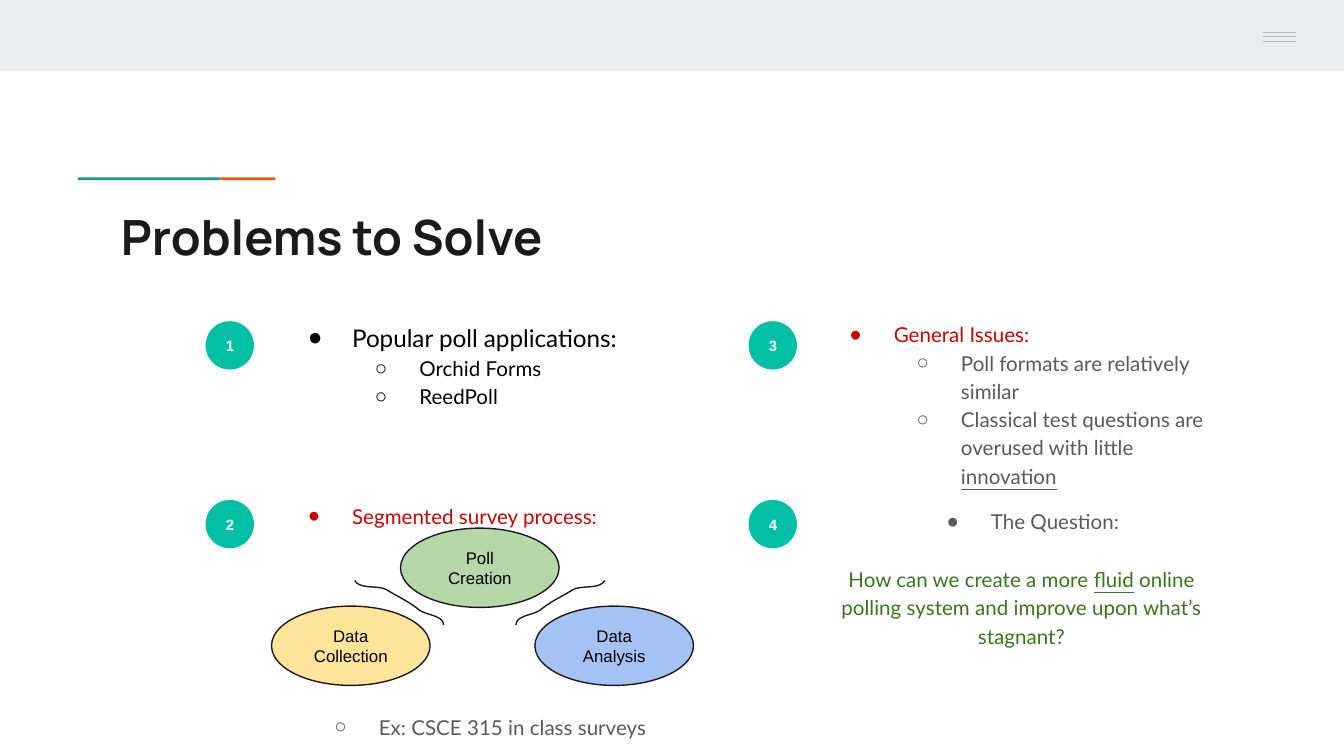
from pptx import Presentation
from pptx.dml.color import RGBColor
from pptx.enum.shapes import MSO_CONNECTOR, MSO_SHAPE
from pptx.enum.text import MSO_ANCHOR, MSO_AUTO_SIZE, PP_ALIGN
from pptx.oxml.ns import qn
from pptx.util import Inches, Pt
from lxml.etree import SubElement

BLACK = RGBColor(0x00, 0x00, 0x00)
WHITE = RGBColor(0xFF, 0xFF, 0xFF)
INK = RGBColor(0x1A, 0x1A, 0x1A)
GRAY = RGBColor(0x59, 0x59, 0x59)
RULE_GRAY = RGBColor(0xB7, 0xB7, 0xB7)
BAND = RGBColor(0xE9, 0xED, 0xEE)
TEAL = RGBColor(0x1A, 0x99, 0x88)
ORANGE = RGBColor(0xEB, 0x56, 0x00)
BADGE = RGBColor(0x00, 0xBF, 0xA5)
RED = RGBColor(0xCC, 0x00, 0x00)
GREEN = RGBColor(0x38, 0x76, 0x1D)
SAGE = RGBColor(0xB6, 0xD7, 0xA8)
YELLOW = RGBColor(0xFF, 0xE5, 0x99)
BLUE = RGBColor(0xA4, 0xC2, 0xF4)

TITLE = "Problems to Solve"
LEFT, CENTER = PP_ALIGN.LEFT, PP_ALIGN.CENTER

SECTIONS = [
    (2.02, 2.27, [
        (["Popular poll applications:"], "●", 13, BLACK, LEFT),
        (["Orchid Forms"], "○", 11, BLACK, LEFT),
        (["ReedPoll"], "○", 11, BLACK, LEFT),
    ]),
    (2.02, 3.62, [(["Segmented survey process:"], "●", 11, RED, LEFT)]),
    (6.05, 2.27, [
        (["General Issues:"], "●", 11, RED, LEFT),
        (["Poll formats are relatively similar"], "○", 11, GRAY, LEFT),
        (["Classical test questions are overused with little ", "innovation"],
         "○", 11, GRAY, LEFT),
    ]),
    (6.05, 3.66, [
        (["The Question:"], "●", 11, GRAY, CENTER),
        (["How can we create a more ", "fluid",
          " online polling system and improve upon what’s stagnant?"],
         None, 11, GREEN, CENTER),
    ]),
]
EXAMPLE = [(["Ex: CSCE 315 in class surveys"], "○", 11, GRAY, LEFT)]
STEPS = [
    ("Poll Creation", 2.98, 3.93, SAGE),
    ("Data Collection", 2.02, 4.51, YELLOW),
    ("Data Analysis", 3.98, 4.51, BLUE),
]
BADGE_COLUMNS, BADGE_ROWS = (1.53, 5.57), (2.39, 3.72)
CURVE = [
    (2.64, 4.32), (2.68, 4.39), (2.81, 4.35), (2.88, 4.39), (2.96, 4.44),
    (3.05, 4.48), (3.12, 4.54), (3.18, 4.58), (3.3, 4.58), (3.3, 4.65),
]
MIRROR_SUM = 7.14
LEVELS = {"●": (0, 0.5), "○": (1, 1)}


def add_filled(kind, left, top, width, height, color):
    shape = page.shapes.add_shape(
        kind, Inches(left), Inches(top), Inches(width), Inches(height))
    shape.shadow.inherit = False
    shape.fill.solid()
    shape.fill.fore_color.rgb = color
    shape.line.fill.background()
    return shape


def outline(shape):
    shape.line.color.rgb = INK
    shape.line.width = Pt(0.75)


def set_frame(frame, anchor=MSO_ANCHOR.TOP):
    frame.word_wrap = True
    frame.auto_size = MSO_AUTO_SIZE.NONE
    frame.vertical_anchor = anchor
    frame.margin_left = frame.margin_right = Inches(0.1)
    frame.margin_top = frame.margin_bottom = Inches(0.1)


def set_font(para, name, size, color, bold=False):
    para.font.name = name
    para.font.size = Pt(size)
    para.font.bold = bold
    para.font.color.rgb = color


def set_bullet(para, bullet, color):
    level, margin = LEVELS.get(bullet, (0, 0))
    para.level = level
    properties = para._p.get_or_add_pPr()
    properties.set("marL", str(Inches(margin)))
    properties.set("indent", str(Inches(-0.33 if bullet else 0)))
    if bullet:
        bullet_color = SubElement(properties, qn("a:buClr"))
        SubElement(bullet_color, qn("a:srgbClr"), val=str(color))
        SubElement(properties, qn("a:buFont"), typeface="Arial")
        SubElement(properties, qn("a:buChar"), char=bullet)
    else:
        SubElement(properties, qn("a:buNone"))


def write_list(frame, lines):
    set_frame(frame)
    for number, (spans, bullet, size, color, alignment) in enumerate(lines):
        para = frame.add_paragraph() if number else frame.paragraphs[0]
        set_bullet(para, bullet, color)
        para.alignment = alignment
        para.line_spacing = 1.15
        para.space_before = para.space_after = Pt(0 if bullet else 16)
        set_font(para, "Lato", size, color)
        for position, text in enumerate(spans):
            span = para.add_run()
            span.text = text
            if position % 2:
                span.font.underline = True


def write_label(shape, text, size, color, bold=False):
    set_frame(shape.text_frame, MSO_ANCHOR.MIDDLE)
    para = shape.text_frame.paragraphs[0]
    para.text = text
    para.alignment = CENTER
    set_font(para, "Arial", size, color, bold)


def place(shape, left, top, width, height):
    shape.left, shape.top = Inches(left), Inches(top)
    shape.width, shape.height = Inches(width), Inches(height)


def sample_curve(points, steps=10):
    for start in range(0, len(points) - 1, 3):
        a, b, c, d = points[start:start + 4]
        for step in range(1, steps + 1):
            t = step / steps
            u = 1 - t
            yield tuple(
                Inches(u**3 * p + 3 * u * u * t * q + 3 * u * t * t * r + t**3 * s)
                for p, q, r, s in zip(a, b, c, d))


def add_curve(points):
    first_x, first_y = points[0]
    builder = page.shapes.build_freeform(Inches(first_x), Inches(first_y))
    builder.add_line_segments(list(sample_curve(points)), close=False)
    curve = builder.convert_to_shape()
    curve.shadow.inherit = False
    curve.fill.background()
    outline(curve)


deck = Presentation()
deck.slide_width = Inches(10)
deck.slide_height = deck.slide_width * 9 // 16
page = deck.slides.add_slide(deck.slide_layouts.get_by_name("Comparison"))

add_filled(MSO_SHAPE.RECTANGLE, 0, 0, 10, 0.53, BAND)
add_filled(MSO_SHAPE.RECTANGLE, 0.58, 1.32, 1.06, 0.02, TEAL)
add_filled(MSO_SHAPE.RECTANGLE, 1.64, 1.32, 0.41, 0.02, ORANGE)
for top in (0.24, 0.27, 0.31):
    rule = page.shapes.add_connector(
        MSO_CONNECTOR.STRAIGHT, Inches(9.4), Inches(top), Inches(9.64), Inches(top))
    rule.line.color.rgb = RULE_GRAY
    rule.line.width = Pt(0.75)
    SubElement(rule._element.spPr, qn("a:effectLst"))

title, *bodies = page.placeholders
place(title, 0.8, 1.44, 8.41, 0.59)
set_frame(title.text_frame)
heading = title.text_frame.paragraphs[0]
heading.text = TITLE
heading.alignment = LEFT
set_font(heading, "Manrope", 26, INK, True)

for body, (left, top, lines) in zip(bodies, SECTIONS):
    place(body, left, top, 3.1, 1.15)
    write_list(body.text_frame, lines)

badge_places = [(left, top) for left in BADGE_COLUMNS for top in BADGE_ROWS]
for number, (left, top) in enumerate(badge_places, 1):
    badge = add_filled(MSO_SHAPE.OVAL, left, top, 0.36, 0.36, BADGE)
    write_label(badge, str(number), 8, WHITE, True)

for text, left, top, color in STEPS:
    step_oval = add_filled(MSO_SHAPE.OVAL, left, top, 1.18, 0.59, color)
    outline(step_oval)
    write_label(step_oval, text, 9, BLACK)

add_curve(CURVE)
add_curve([(MIRROR_SUM - x, y) for x, y in CURVE])

example_box = page.shapes.add_textbox(
    Inches(1.72), Inches(5.19), Inches(3.28), Inches(0.39))
write_list(example_box.text_frame, EXAMPLE)
example_box.text_frame.auto_size = MSO_AUTO_SIZE.SHAPE_TO_FIT_TEXT

deck.save("out.pptx")
